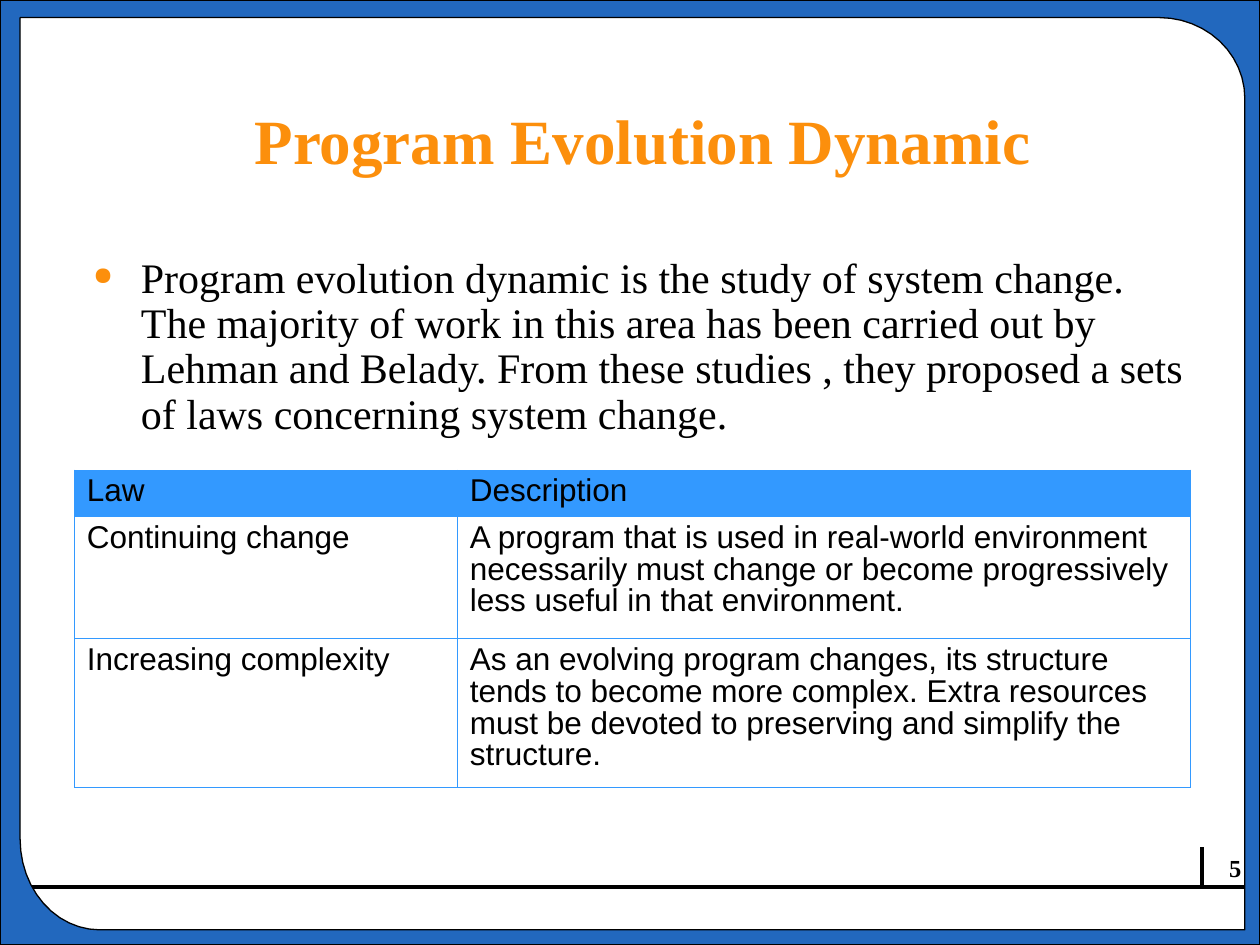
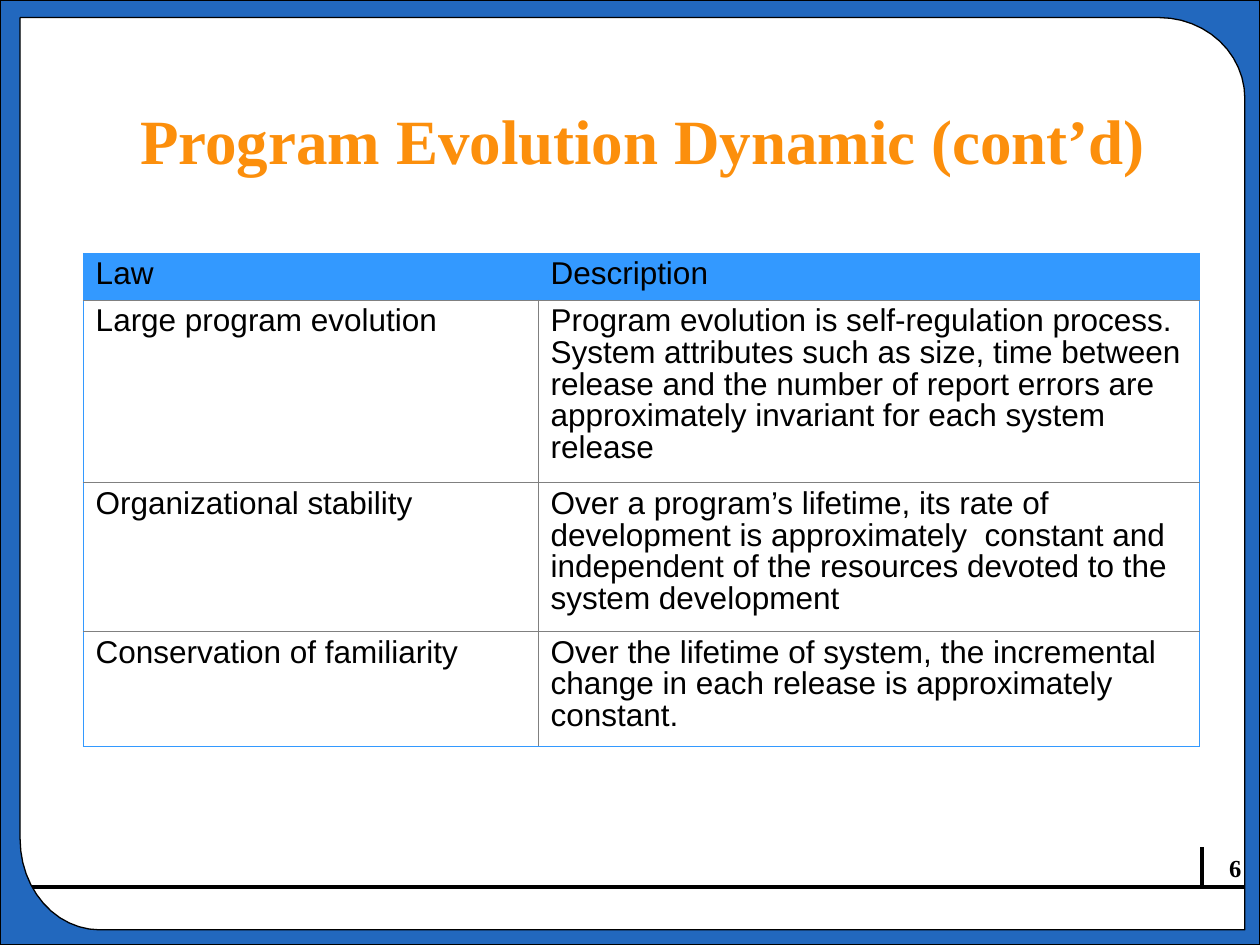
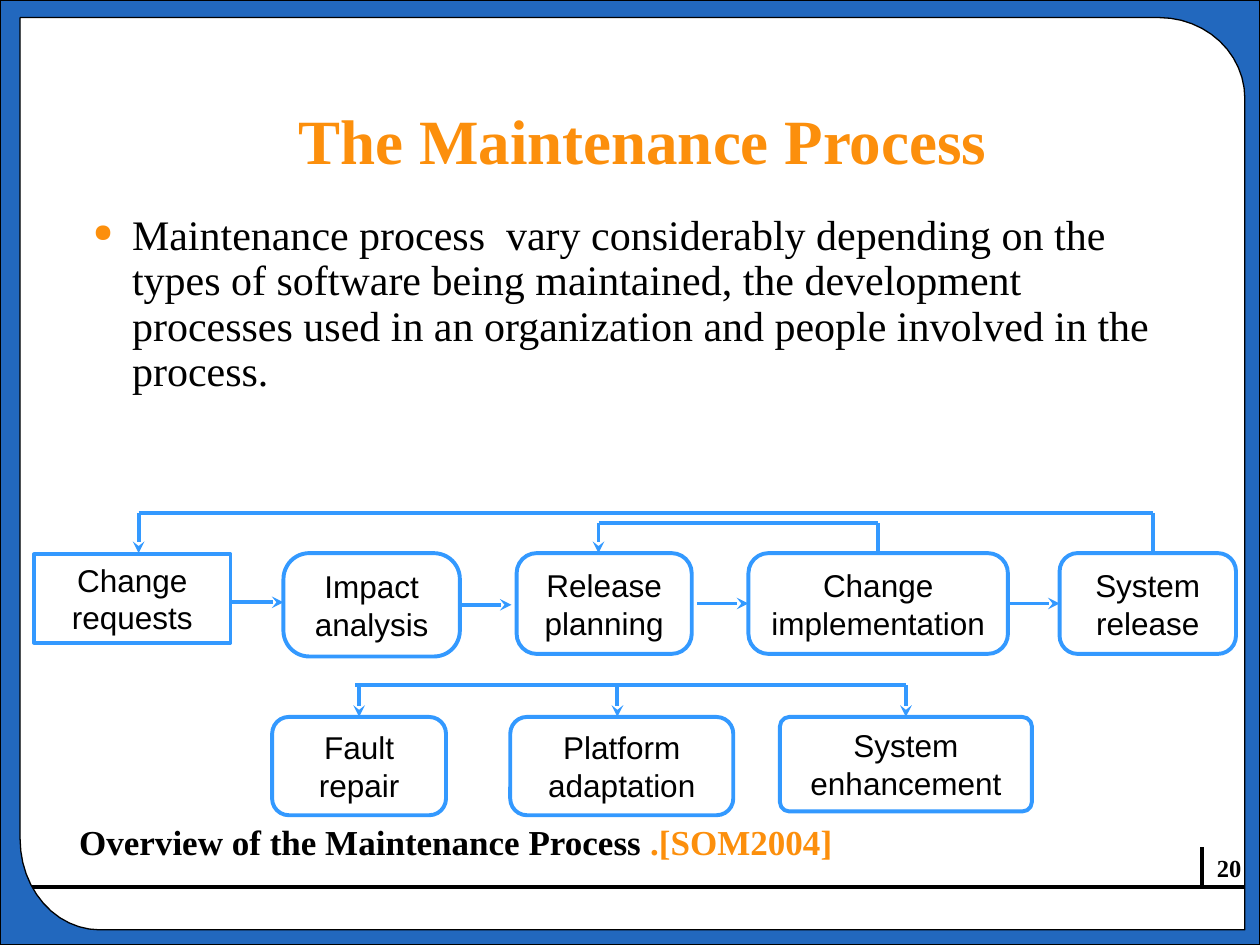
from math import cos, pi, sin

from lxml.etree import SubElement
from pptx import Presentation
from pptx.dml.color import RGBColor
from pptx.enum.shapes import MSO_CONNECTOR as LINK, MSO_SHAPE as SHAPE
from pptx.enum.text import MSO_ANCHOR as ANCHOR, PP_ALIGN as ALIGN
from pptx.oxml.ns import qn
from pptx.util import Emu, Inches, Pt

BLACK = RGBColor(0x00, 0x00, 0x00)
ORANGE = RGBColor(0xFC, 0x8F, 0x0C)
FRAME = RGBColor(0x22, 0x68, 0xBE)
SKY = RGBColor(0x33, 0x99, 0xFF)
GREY = RGBColor(0x80, 0x80, 0x80)
SERIF, SANS = "Times New Roman", "Arial"
COLS, ROWS = 100, 75
TOP, LEFT, RIGHT = 0, 1, 3


def arc(x, y, rx, ry, start, steps=12):
    """Points of a clockwise quarter ellipse, from an angle in quarter turns."""
    turns = [(start + i / steps) * pi / 2 for i in range(steps + 1)]
    return [(x + rx * cos(t), y + ry * sin(t)) for t in turns]


def border(cell, side, color):
    line = SubElement(cell._tc.get_or_add_tcPr(), qn("a:ln" + side), w=str(Pt(0.45)))
    fill = SubElement(line, qn("a:solidFill"))
    SubElement(fill, qn("a:srgbClr"), val=str(color))


class Deck:
    def __init__(self):
        self.show = Presentation()
        self.show.slide_width, self.show.slide_height = Inches(10), Inches(7.5)
        self.col = self.show.slide_width / COLS
        self.row = self.show.slide_height / ROWS

    def place(self, x, y, *size):
        """Turn columns and rows into lengths: x, y, then optional pairs."""
        units = (self.col, self.row) * 2
        return [Emu(round(v * u)) for v, u in zip((x, y, *size), units)]

    def page(self, title, number):
        self.slide = self.show.slides.add_slide(self.show.slide_layouts[6])
        self.shapes = self.slide.shapes
        self.wire(0, 70.4, COLS, 70.4, color=BLACK)
        self.wire(95.4, 70.4, 95.4, 67.2, color=BLACK)
        self.frame()
        self.text((90.6, 67.2, 8.9, 3.4), str(number), 14, bold=True, align=ALIGN.RIGHT)
        self.text((6.9, 6.6, 88.2, 7.9), title, 36, ORANGE, True, ALIGN.CENTER, 0.8, ANCHOR.BOTTOM)

    def frame(self):
        """Blue border around a window with two rounded corners."""
        edge = [(0, 0), (COLS, 0), (COLS, ROWS), (0, ROWS)]
        window = [(1.6, 1.4), *arc(92, 7.8, 6.8, 6.4, -1), (98.8, 73.8),
                  *arc(7.9, 66.6, 6.3, 7.2, 1)]
        edge, window = ([self.place(*p) for p in pts] for pts in (edge, window))
        pen = self.shapes.build_freeform(*edge[0])
        pen.add_line_segments(edge[1:])
        pen.move_to(*window[0])
        pen.add_line_segments(window[1:])
        shape = pen.convert_to_shape()
        shape.shadow.inherit = False
        shape.fill.solid()
        shape.fill.fore_color.rgb = FRAME
        shape.line.color.rgb = BLACK
        shape.line.width = Pt(0.75)

    def font(self, para, size, color=BLACK, bold=False, name=SERIF):
        font = para.font
        font.name, font.size, font.bold = name, Pt(size), bold
        font.color.rgb = color

    def text(self, area, words, size, color=BLACK, bold=False, align=ALIGN.LEFT,
             space=1.0, anchor=ANCHOR.TOP, indent=0):
        """Text box; an indent in columns makes it a bullet."""
        frame = self.shapes.add_textbox(*self.place(*area)).text_frame
        frame.word_wrap, frame.vertical_anchor = True, anchor
        para = frame.paragraphs[0]
        para.text, para.alignment, para.line_spacing = words, align, space
        if indent:
            self.bullet(para, indent)
        self.font(para, size, color, bold)
        return para

    def bullet(self, para, indent):
        props = para._p.get_or_add_pPr()
        props.set("marL", str(round(indent * self.col)))
        props.set("indent", str(-round(indent * self.col)))
        SubElement(SubElement(props, qn("a:buClr")), qn("a:srgbClr"), val=str(ORANGE))
        SubElement(props, qn("a:buSzPct"), val="60000")
        SubElement(props, qn("a:buChar"), char="●")

    def body(self, y, high, words, indent):
        self.text((6.4, y, 88.6, high), words, 24, space=0.9, indent=indent)

    def table(self, x, y, wide, high, rows, inner=SKY):
        """Table of laws; wide and high list the columns and rows."""
        rows = [("Law", "Description"), *rows]
        area = self.place(x, y, sum(wide), sum(high))
        table = self.shapes.add_table(len(rows), len(wide), *area).table
        table.first_row = table.horz_banding = False
        for part, size in zip(table.columns, wide):
            part.width = round(size * self.col)
        for part, size in zip(table.rows, high):
            part.height = round(size * self.row)
        for r, row in enumerate(rows):
            for c, words in enumerate(row):
                cell = table.cell(r, c)
                outer = {"L": c == 0, "R": c == len(wide) - 1,
                         "T": r == 0, "B": r == len(rows) - 1}
                for side, rim in outer.items():
                    border(cell, side, SKY if rim or r == 0 else inner)
                if r == 0:
                    cell.fill.solid()
                    cell.fill.fore_color.rgb = SKY
                else:
                    cell.fill.background()
                para = cell.text_frame.paragraphs[0]
                para.text, para.line_spacing = words, 0.9
                self.font(para, 18, name=SANS)

    def box(self, words, x, y, w, h, curve):
        shape = self.shapes.add_shape(SHAPE.ROUNDED_RECTANGLE, *self.place(x, y, w, h))
        shape.adjustments[0] = curve
        shape.shadow.inherit = False
        shape.fill.background()
        shape.line.color.rgb = SKY
        shape.line.width = Pt(2.25)
        frame = shape.text_frame
        frame.word_wrap, frame.vertical_anchor = True, ANCHOR.MIDDLE
        para = frame.paragraphs[0]
        para.text, para.alignment = words, ALIGN.CENTER
        self.font(para, 18, name=SANS)
        return shape

    def wire(self, x1, y1, x2, y2, head=False, start=None, end=None, color=SKY):
        """Straight line; start and end are (shape, side) joints."""
        line = self.shapes.add_connector(LINK.STRAIGHT, *self.place(x1, y1, x2, y2))
        line.line.color.rgb = color
        line.line.width = Pt(2.25)
        if start:
            line.begin_connect(*start)
        if end:
            line.end_connect(*end)
        if head:
            SubElement(line.line._get_or_add_ln(), qn("a:tailEnd"), type="stealth")
        SubElement(line._element.spPr, qn("a:effectLst"))


def process(deck):
    """Draw the maintenance steps, their loops and the kinds of change."""
    y, low = 43.9, 56.9
    deck.box("Change requests", 2.7, 44, 15.6, 7, 0)
    impact = deck.box("Impact analysis", 22.5, y, 14, 8.2, 0.25)
    deck.box("Release planning", 41, y, 13.9, 8, 0.2)
    build = deck.box("Change implementation", 59.4, y, 20.6, 8, 0.2)
    release = deck.box("System release", 84.1, y, 14, 8, 0.18)
    fault = deck.box("Fault repair", 21.6, low, 13.8, 7.8, 0.17)
    deck.box("Platform adaptation", 40.5, low, 17.7, 7.8, 0.17)
    enhance = deck.box("System enhancement", 61.9, low, 20, 7.5, 0.1)

    for left, right, top, joint in ((11, 91.5, 40.7, None), (47.5, 69.7, 41.5, (build, TOP))):
        deck.wire(right, y, right, top, start=joint)
        deck.wire(left, top, right, top)
        deck.wire(left, top, left, y, head=True)

    for x, mid, start, end in ((18.4, 47.8, None, None),
                               (36.5, 48, (impact, RIGHT), None),
                               (55.3, 47.9, None, (build, LEFT)),
                               (80, 47.9, (build, RIGHT), (release, LEFT))):
        deck.wire(x, mid, x + 4.1, mid, True, start, end)

    deck.wire(28.2, 54.4, 71.9, 54.4)
    for x, joint in ((28.5, (fault, TOP)), (49, None), (71.9, (enhance, TOP))):
        deck.wire(x, 54.4, x, low, head=True, end=joint)


def main():
    deck = Deck()

    deck.page("Program Evolution Dynamic", 5)
    deck.table(5.9, 37.3, (30.4, 58.2), (3.7, 9.7, 11.8), [
        ("Continuing change",
         "A program that is used in real-world environment necessarily must change "
         "or become progressively less useful in that environment."),
        ("Increasing complexity",
         "As an evolving program changes, its structure tends to become more complex. "
         "Extra resources must be devoted to preserving and simplify the structure."),
    ])
    deck.body(19.9, 15.4,
              "Program evolution dynamic is the study of system change. The majority of "
              "work in this area has been carried out by Lehman and Belady. From these "
              "studies , they proposed a sets of laws concerning system change.", 3.8)

    deck.page("Program Evolution Dynamic (cont’d)", 6)
    deck.table(6.6, 20.1, (36.1, 52.5), (3.7, 14.5, 11.8, 9.1), [
        ("Large program evolution",
         "Program evolution is self-regulation process. System attributes such as size, "
         "time between release and the number of report errors are approximately "
         "invariant for each system release"),
        ("Organizational stability",
         "Over a program’s lifetime, its rate of development is approximately  constant "
         "and independent of the resources devoted to the system development"),
        ("Conservation of familiarity",
         "Over the lifetime of system, the incremental change in each release is "
         "approximately constant."),
    ], inner=GREY)

    deck.page("The Maintenance Process", 20)
    deck.body(16.5, 40.5,
              "Maintenance process  vary considerably depending on the types of software "
              "being maintained, the development processes used in an organization and "
              "people involved in the process.", 3.1)
    process(deck)
    note = deck.text((5.3, 65.2, 88.2, 3.7), "Overview of the Maintenance Process ", 20,
                     bold=True, space=0.8, anchor=ANCHOR.BOTTOM)
    source = note.add_run()
    source.text = ".[SOM2004]"
    source.font.color.rgb = ORANGE

    deck.show.save("out.pptx")


if __name__ == "__main__":
    main()
